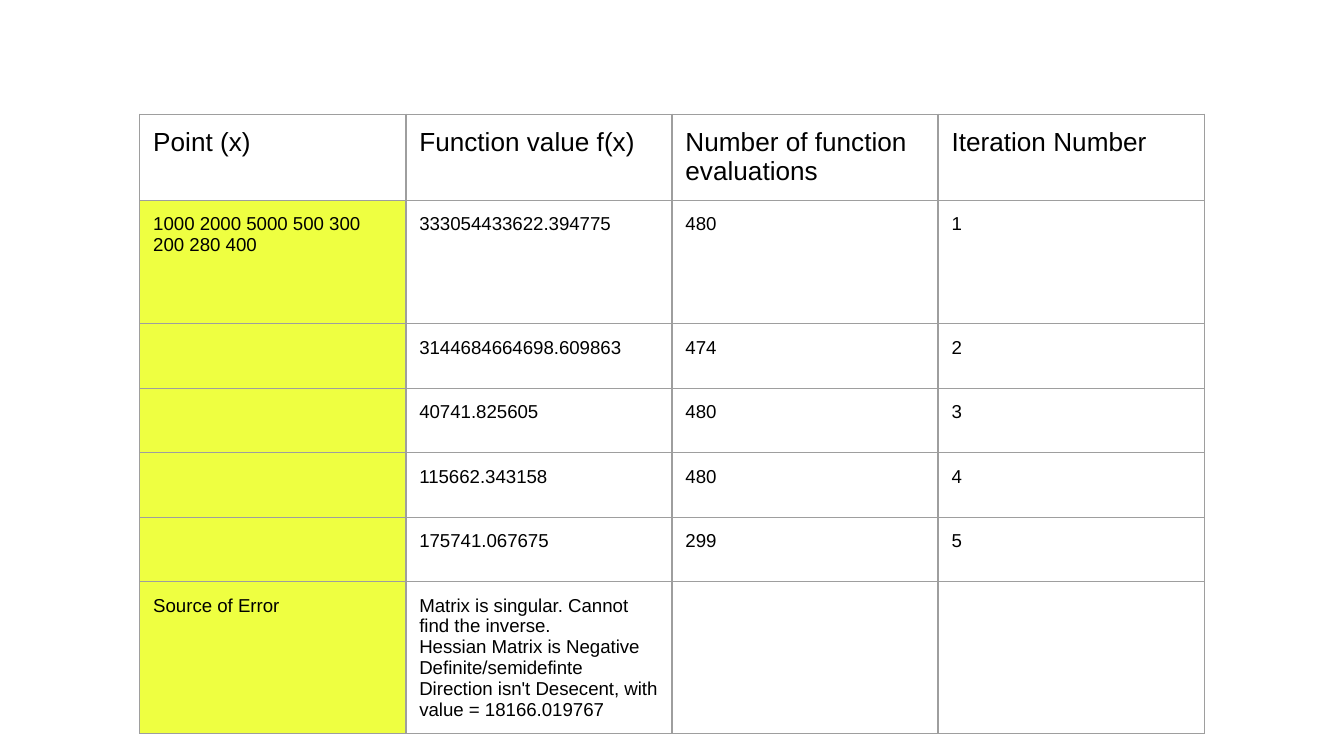
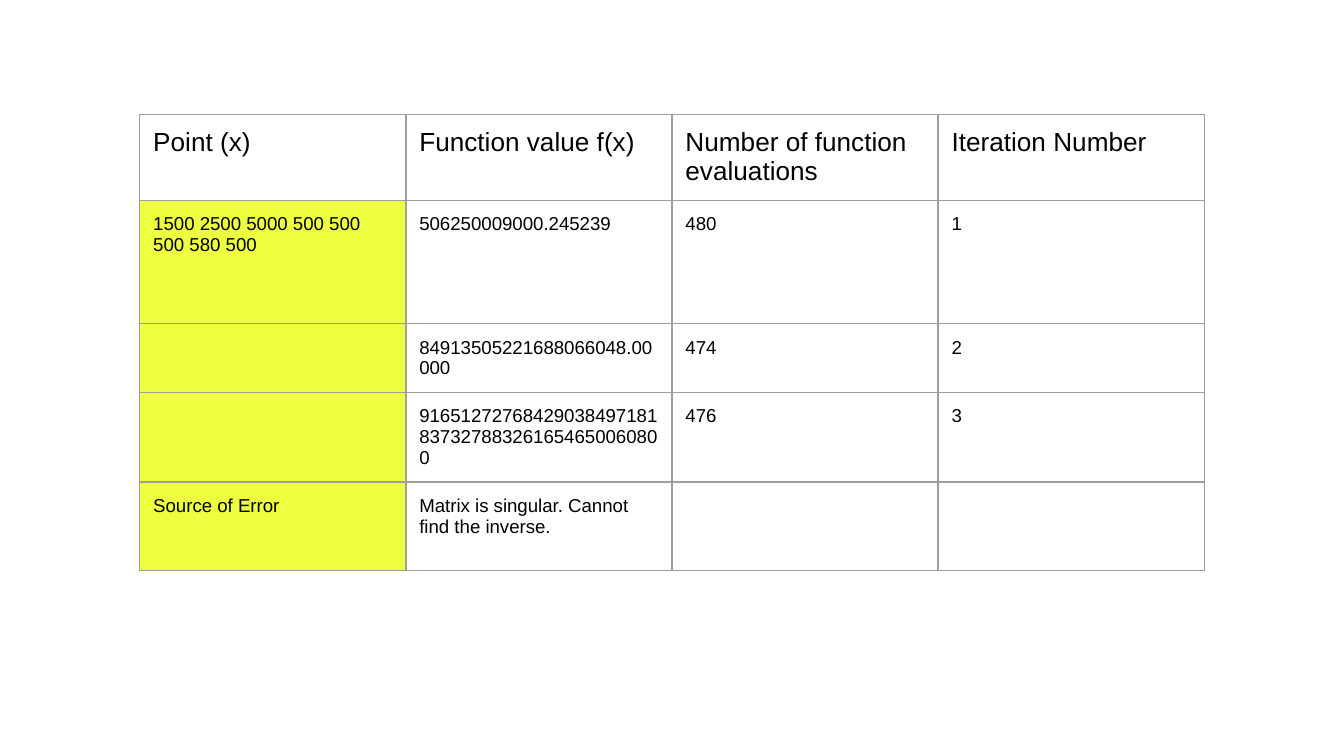
from pptx import Presentation as Deck
from pptx.dml.color import RGBColor as Rgb
from pptx.oxml import parse_xml as to_xml
from pptx.oxml.ns import nsdecls as names
from pptx.util import Inches as In, Pt

WIDE = 10
HIGH = WIDE * 9 / 16
COL, ROW, TOP = 1.98, 0.48, 0.85
INK, LIME, GREY = "000000", "EEFF41", "9E9E9E"
HEAD = ["Point (x)", "Function value f(x)", "Number of function evaluations", "Iteration Number"]
FAULT = "Source of Error"
SINGLE = "Matrix is singular. Cannot find the inverse."
TALL = {0: 0.64, 1: 0.92}
RUNS = [
    {
        "rows": [
            ["1000 2000 5000 500 300 200 280 400", "333054433622.394775", "480", "1"],
            ["", "3144684664698.609863", "474", "2"],
            ["", "40741.825605", "480", "3"],
            ["", "115662.343158", "480", "4"],
            ["", "175741.067675", "299", "5"],
            [FAULT, "\n".join([
                SINGLE,
                "Hessian Matrix is Negative Definite/semidefinte",
                "Direction isn't Desecent, with value = 18166.019767",
            ]), "", ""],
        ],
        "tall": {**TALL, 6: 1.13},
    },
    {
        "rows": [
            ["1500 2500 5000 500 500 500 580 500", "506250009000.245239", "480", "1"],
            ["", "84913505221688066048.00000", "474", "2"],
            ["", "91651272768429038497181837327883261654650060800", "476", "3"],
            [FAULT, SINGLE, "", ""],
        ],
        "tall": {**TALL, 2: 0.51, 3: 0.66, 4: 0.66},
    },
]


def tint(code):
    return Rgb.from_string(code)


class Sheet:
    """Holds the table style and the current slide."""

    inset = {"margin_left": In(0.1), "margin_right": In(0.1),
             "margin_top": In(0.1), "margin_bottom": In(0.1)}
    plain = {"first_row": False, "horz_banding": False}
    font = {"name": "Arial", "bold": False}

    def __init__(self):
        self.deck = Deck()
        self.deck.slide_width, self.deck.slide_height = In(WIDE), In(HIGH)
        self.slide = None

    def page(self):
        self.slide = self.deck.slides.add_slide(self.deck.slide_layouts[6])

    def apply(self, item, style):
        for key, value in style.items():
            setattr(item, key, value)

    def edge(self, cell):
        props = cell._tc.get_or_add_tcPr()
        for side in "LRTB":
            props.append(to_xml(
                f'<a:ln{side} {names("a")} w="{Pt(0.75)}"><a:solidFill>'
                f'<a:srgbClr val="{GREY}"/></a:solidFill></a:ln{side}>'))

    def cell(self, cell, text, size, fill):
        self.apply(cell, self.inset)
        self.edge(cell)
        if fill:
            cell.fill.solid()
            cell.fill.fore_color.rgb = tint(fill)
        else:
            cell.fill.background()
        cell.text = text
        for para in cell.text_frame.paragraphs:
            self.apply(para.font, {**self.font, "size": Pt(size)})
            para.font.color.rgb = tint(INK)

    def table(self, rows, tall):
        count = len(rows[0])
        span = COL * count
        deep = sum(tall.get(r, ROW) for r in range(len(rows)))
        grid = self.slide.shapes.add_table(
            len(rows), count, In((WIDE - span) / 2), In(TOP),
            In(span), In(deep)).table
        self.apply(grid, self.plain)
        for col in grid.columns:
            col.width = In(COL)
        for r, row in enumerate(rows):
            grid.rows[r].height = In(tall.get(r, ROW))
            for c, text in enumerate(row):
                fill = LIME if r and not c else None
                self.cell(grid.cell(r, c), text, 10 if r else 14, fill)


def main():
    sheet = Sheet()
    for run in RUNS:
        sheet.page()
        sheet.table([HEAD, *run["rows"]], run["tall"])
    sheet.deck.save("out.pptx")


if __name__ == "__main__":
    main()
